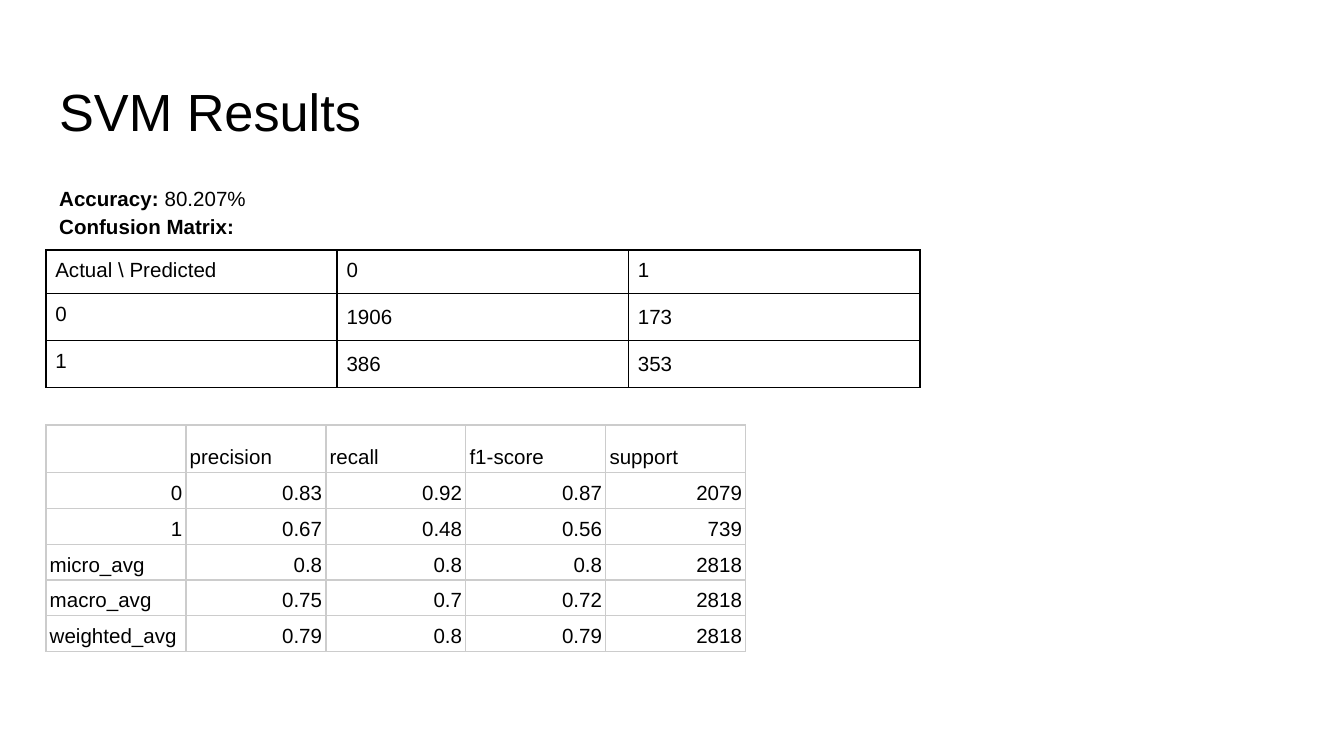
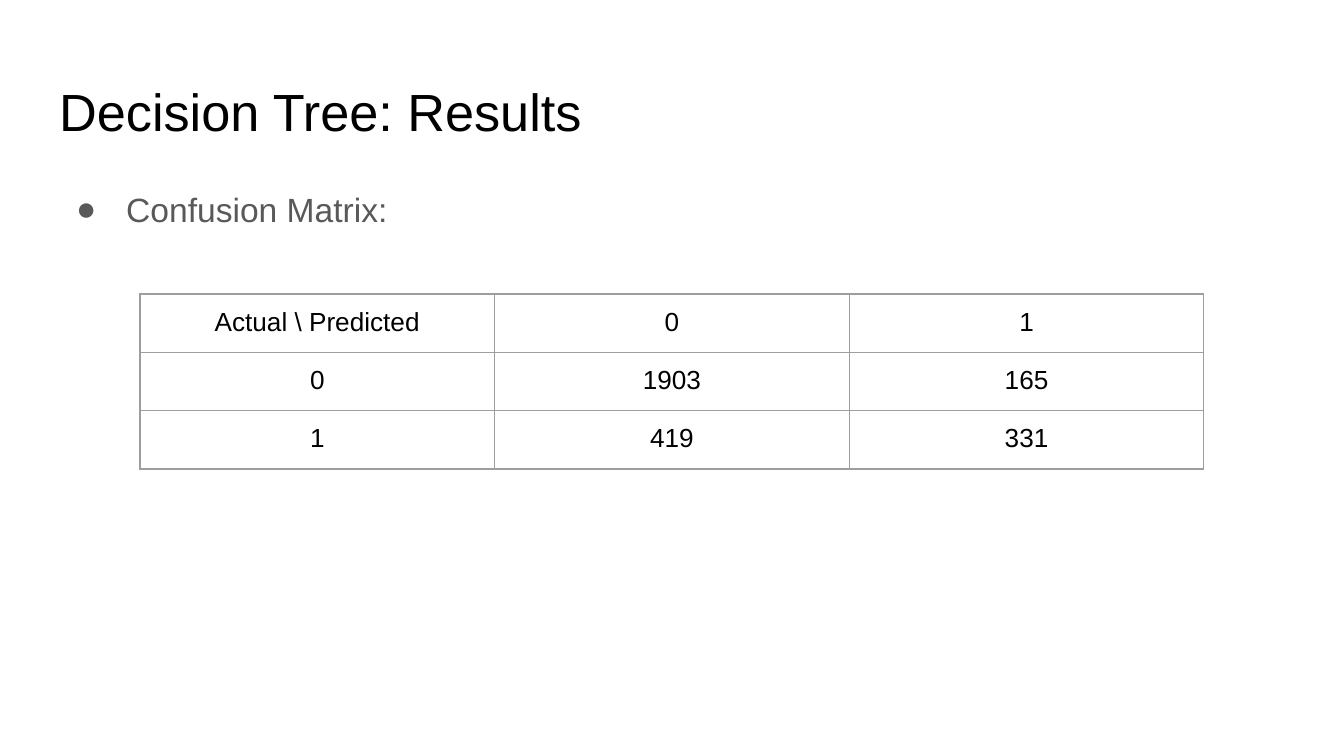
"""Build two slides of classifier results with confusion matrices."""
from dataclasses import dataclass
from typing import Optional

from lxml.etree import SubElement
from pptx import Presentation
from pptx.dml.color import RGBColor
from pptx.enum.text import MSO_ANCHOR as Anchor, PP_ALIGN as Align
from pptx.oxml import parse_xml
from pptx.oxml.ns import nsdecls, qn
from pptx.util import Emu, Pt

PX_PER_INCH = 134.4


def px(n: float) -> Emu:
    return Emu(round(n * 914400 / PX_PER_INCH))


@dataclass(frozen=True)
class Theme:
    font: str = "Arial"
    background: str = "FFFFFF"
    ink: str = "000000"
    muted: str = "595959"
    grid_dark: str = "000000"
    grid_mid: str = "9E9E9E"
    grid_light: str = "CCCCCC"
    title_size: int = 28
    bullet_size: int = 18
    table_size: int = 14
    small_size: int = 11
    title_spacing: float = 1.0
    body_spacing: float = 1.15
    wide_inset_pt: float = 7.2
    medium_inset_pt: float = 5
    narrow_inset_pt: float = 2


THEME = Theme()


@dataclass(frozen=True)
class Box:
    left: int
    top: int
    width: int
    height: int


TITLE_BOX = Box(46, 66, 1252, 84)
BODY_BOX = Box(46, 169, 1252, 503)
FRAME_HEIGHT = 441


@dataclass(frozen=True)
class Span:
    text: str
    bold: bool = False


@dataclass(frozen=True)
class Grid:
    left: int
    top: int
    width: int
    row_height: int
    rows: tuple[tuple[str, ...], ...]
    border: str
    border_pt: float
    size: int
    inset_pt: float
    text_align: Align
    number_align: Align
    anchor: Anchor = Anchor.TOP
    label_spacing: Optional[float] = None
    value_spacing: Optional[float] = None


def style_run(r, size: int, color: str, bold: bool = False) -> None:
    r.font.name = THEME.font
    r.font.size = Pt(size)
    r.font.bold = bold
    r.font.color.rgb = RGBColor.from_string(color)


def set_insets(target, inset_pt: float) -> None:
    target.margin_left = target.margin_right = Pt(inset_pt)
    target.margin_top = target.margin_bottom = Pt(inset_pt)


def add_text(s, box: Box, lines: list[list[Span]], size: int, color: str,
             spacing: float, bullet: bool = False) -> None:
    sp = s.shapes.add_textbox(px(box.left), px(box.top), px(box.width), px(box.height))
    tf = sp.text_frame
    tf.word_wrap = True
    set_insets(tf, THEME.wide_inset_pt)
    for i, line in enumerate(lines):
        p = tf.add_paragraph() if i else tf.paragraphs[0]
        p.line_spacing = spacing
        for span in line:
            r = p.add_run()
            r.text = span.text
            style_run(r, size, color, span.bold)
        if bullet:
            add_bullet(p, color)


def add_bullet(p, color: str) -> None:
    props = p._p.get_or_add_pPr()
    props.set("marL", str(px(67)))
    props.set("indent", str(-px(50)))
    tint = SubElement(props, qn("a:buClr"))
    SubElement(tint, qn("a:srgbClr")).set("val", color)
    SubElement(props, qn("a:buFont")).set("typeface", THEME.font)
    SubElement(props, qn("a:buChar")).set("char", "●")


def set_borders(cell, color: str, width: float) -> None:
    props = cell._tc.get_or_add_tcPr()
    for i, side in enumerate(("lnL", "lnR", "lnT", "lnB")):
        props.insert(i, parse_xml(
            f'<a:{side} {nsdecls("a")} w="{Pt(width)}"><a:solidFill>'
            f'<a:srgbClr val="{color}"/></a:solidFill></a:{side}>'))


def fill_cell(cell, text: str, grid: Grid, spacing: Optional[float]) -> None:
    cell.fill.background()
    set_borders(cell, grid.border, grid.border_pt)
    set_insets(cell, grid.inset_pt)
    cell.vertical_anchor = grid.anchor
    if not text:
        return
    p = cell.text_frame.paragraphs[0]
    p.text = text
    p.line_spacing = spacing
    is_number = text.replace(".", "").isdigit()
    p.alignment = grid.number_align if is_number else grid.text_align
    style_run(p.runs[0], grid.size, THEME.ink)


def add_grid(s, grid: Grid) -> None:
    count = len(grid.rows[0])
    frame = s.shapes.add_table(
        len(grid.rows), count, px(grid.left), px(grid.top),
        px(grid.width), px(FRAME_HEIGHT))
    table = frame.table
    table.first_row = table.horz_banding = False
    for col in table.columns:
        col.width = px(grid.width / count)
    for i, texts in enumerate(grid.rows):
        table.rows[i].height = px(grid.row_height)
        for j, text in enumerate(texts):
            spacing = grid.value_spacing if i and j else grid.label_spacing
            fill_cell(table.cell(i, j), text, grid, spacing)
    frame.height = px(FRAME_HEIGHT)


def confusion_rows(actual_0: tuple[str, str],
                   actual_1: tuple[str, str]) -> tuple[tuple[str, ...], ...]:
    return (("Actual \\ Predicted", "0", "1"), ("0", *actual_0), ("1", *actual_1))


def add_titled_slide(prs, title: str):
    s = prs.slides.add_slide(prs.slide_layouts[6])
    s.background.fill.solid()
    s.background.fill.fore_color.rgb = RGBColor.from_string(THEME.background)
    add_text(s, TITLE_BOX, [[Span(title)]], THEME.title_size, THEME.ink,
             THEME.title_spacing)
    return s


SVM_MATRIX = Grid(
    46, 250, 874, 1, confusion_rows(("1906", "173"), ("386", "353")),
    THEME.grid_dark, 1, THEME.small_size, THEME.medium_inset_pt,
    Align.LEFT, Align.LEFT, value_spacing=THEME.body_spacing)

SVM_REPORT = Grid(
    46, 425, 700, 30,
    (("", "precision", "recall", "f1-score", "support"),
     ("0", "0.83", "0.92", "0.87", "2079"),
     ("1", "0.67", "0.48", "0.56", "739"),
     ("micro_avg", "0.8", "0.8", "0.8", "2818"),
     ("macro_avg", "0.75", "0.7", "0.72", "2818"),
     ("weighted_avg", "0.79", "0.8", "0.79", "2818")),
    THEME.grid_light, 0.75, THEME.small_size, THEME.narrow_inset_pt,
    Align.LEFT, Align.RIGHT, Anchor.BOTTOM, THEME.body_spacing, THEME.body_spacing)

TREE_MATRIX = Grid(
    140, 294, 1064, 56, confusion_rows(("1903", "165"), ("419", "331")),
    THEME.grid_mid, 0.75, THEME.table_size, THEME.wide_inset_pt,
    Align.CENTER, Align.CENTER)


def build_svm(prs) -> None:
    s = add_titled_slide(prs, "SVM Results")
    lines = [[Span("Accuracy: ", True), Span("80.207%")],
             [Span("Confusion Matrix:", True)]]
    add_text(s, BODY_BOX, lines, THEME.small_size, THEME.ink, THEME.body_spacing)
    add_grid(s, SVM_MATRIX)
    add_grid(s, SVM_REPORT)


def build_tree(prs) -> None:
    s = add_titled_slide(prs, "Decision Tree: Results")
    add_text(s, BODY_BOX, [[Span("Confusion Matrix:")]], THEME.bullet_size,
             THEME.muted, THEME.body_spacing, bullet=True)
    add_grid(s, TREE_MATRIX)


def main() -> None:
    prs = Presentation()
    prs.slide_width, prs.slide_height = px(1344), px(756)
    build_svm(prs)
    build_tree(prs)
    prs.save("out.pptx")


main()
